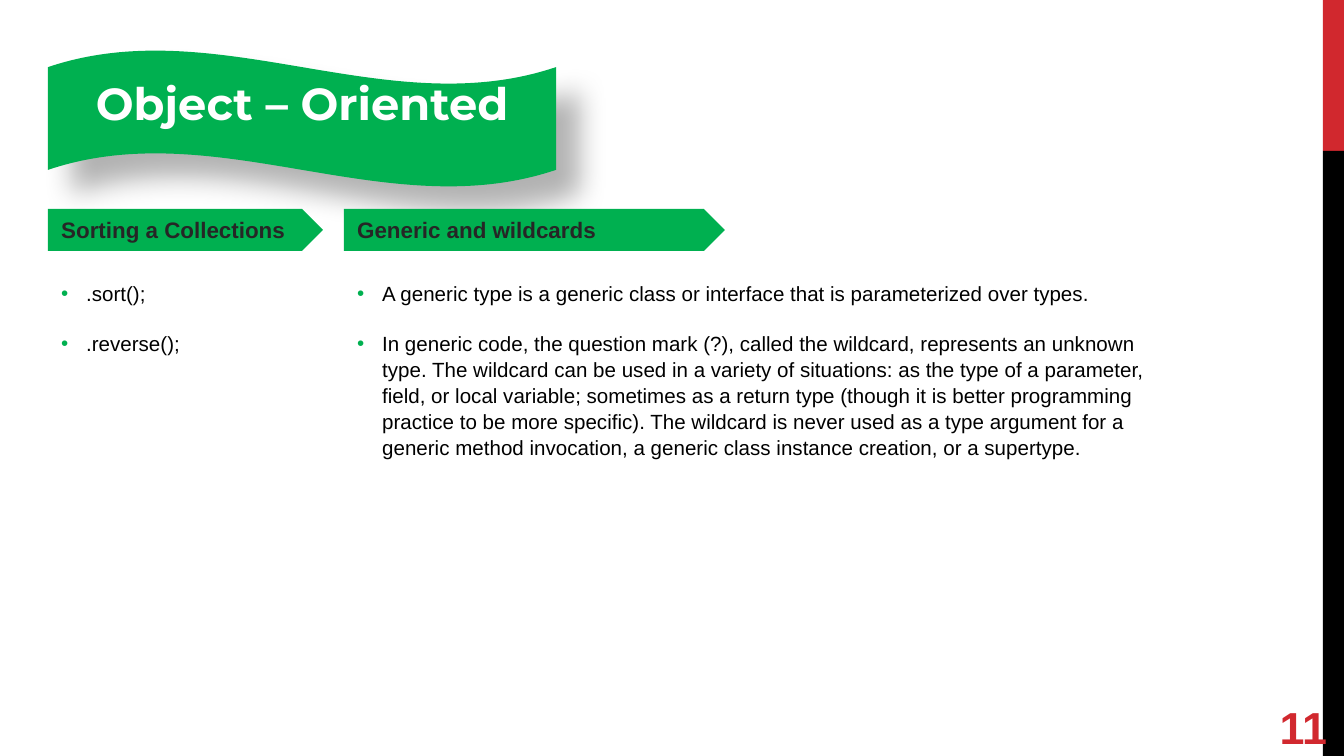
from lxml import etree
from pptx import Presentation
from pptx.dml.color import RGBColor
from pptx.enum.shapes import MSO_SHAPE
from pptx.enum.text import MSO_ANCHOR, PP_ALIGN
from pptx.oxml.ns import qn
from pptx.util import Emu, Pt

RECT, PLATE, WAVE = MSO_SHAPE.RECTANGLE, MSO_SHAPE.PENTAGON, MSO_SHAPE.WAVE
TOP, MIDDLE = MSO_ANCHOR.TOP, MSO_ANCHOR.MIDDLE
LEFT, CENTER, RIGHT = PP_ALIGN.LEFT, PP_ALIGN.CENTER, PP_ALIGN.RIGHT

WIDE, HIGH = 1344, 756
SCALE = 914400 / 134.4
COLORS = {"green": "00B050", "red": "D1282E", "black": "000000",
          "white": "FFFFFF", "dark": "262626"}
INDENT = 25
HEAD_TOP, LIST_TOP = 209, 273

# left, heading width, list width, list height, heading, items
COLUMNS = [
    (48, 275, 202, 89, "Sorting a Collections", [".sort();", ".reverse();"]),
    (344, 381, 817, 212, "Generic and wildcards", [
        "A generic type is a generic class or interface that is "
        "parameterized over types.",
        "In generic code, the question mark (?), called the wildcard, "
        "represents an unknown type. The wildcard can be used in a variety of "
        "situations: as the type of a parameter, field, or local variable; "
        "sometimes as a return type (though it is better programming practice "
        "to be more specific). The wildcard is never used as a type argument "
        "for a generic method invocation, a generic class instance creation, "
        "or a supertype.",
    ]),
]


def px(n):
    return Emu(round(n * SCALE))


def rgb(name):
    return RGBColor.from_string(COLORS[name])


def add_shape(slide, kind, box, color):
    shape = slide.shapes.add_shape(kind, *map(px, box))
    shape.shadow.inherit = False
    shape.fill.solid()
    shape.fill.fore_color.rgb = rgb(color)
    shape.line.fill.background()
    return shape


def add_run(para, text, size, color, bold=False, font="Arial"):
    run = para.add_run()
    run.text = text
    run.font.size = Pt(size)
    run.font.name = font
    run.font.bold = bold
    run.font.color.rgb = rgb(color)


def set_text(shape, text, size, color, align=LEFT, font="Arial"):
    """Put one bold line, centred in height, into the shape."""
    frame = shape.text_frame
    frame.vertical_anchor = MIDDLE
    para = frame.paragraphs[0]
    para.alignment = align
    add_run(para, text, size, color, True, font)
    return frame


def add_glow(shape):
    """Give the shape a soft shadow down to the right."""
    effects = shape._element.spPr.find(qn("a:effectLst"))
    shade = etree.SubElement(effects, qn("a:outerShdw"), blurRad=str(Pt(15)),
                             dist=str(Pt(18)), dir="2700000", algn="tl",
                             rotWithShape="0")
    color = etree.SubElement(shade, qn("a:srgbClr"), val=COLORS["black"])
    etree.SubElement(color, qn("a:alpha"), val="30000")


def set_bullet(para):
    props = para._p.get_or_add_pPr()
    props.set("marL", str(px(INDENT)))
    props.set("indent", str(-px(INDENT)))
    color = etree.SubElement(props, qn("a:buClr"))
    etree.SubElement(color, qn("a:srgbClr"), val=COLORS["green"])
    etree.SubElement(props, qn("a:buFont"), typeface="Arial")
    etree.SubElement(props, qn("a:buChar"), char="•")


def add_list(slide, box, items):
    frame = slide.shapes.add_textbox(*map(px, box)).text_frame
    frame.word_wrap = True
    frame.vertical_anchor = TOP
    for i, item in enumerate(items):
        para = frame.add_paragraph() if i else frame.paragraphs[0]
        para.line_spacing = 1.05
        if i:
            para.space_before = Pt(13.25)
        set_bullet(para)
        add_run(para, item, 11, "black")


def add_title(slide):
    wave = add_shape(slide, WAVE, (48, 50, 508, 137), "green")
    add_glow(wave)
    frame = set_text(wave, "Object – Oriented", 24, "white", CENTER,
                     "Montserrat")
    frame.margin_bottom = px(39)


def add_number(slide):
    box = slide.shapes.add_textbox(*map(px, (1246, 698, 81, 58)))
    frame = set_text(box, "11", 24, "red", RIGHT)
    frame.word_wrap = True
    frame.margin_left = frame.margin_right = 0
    frame.margin_top = frame.margin_bottom = 0


def main():
    deck = Presentation()
    deck.slide_width, deck.slide_height = px(WIDE), px(HIGH)
    slide = deck.slides.add_slide(deck.slide_layouts[6])
    add_shape(slide, RECT, (1323, 0, 21, 151), "red")
    add_shape(slide, RECT, (1323, 151, 21, 605), "black")
    add_title(slide)
    for left, head, width, height, name, items in COLUMNS:
        plate = add_shape(slide, PLATE, (left, HEAD_TOP, head, 42), "green")
        set_text(plate, name, 12, "dark")
        add_list(slide, (left, LIST_TOP, width, height), items)
    add_number(slide)
    deck.save("out.pptx")


if __name__ == "__main__":
    main()
